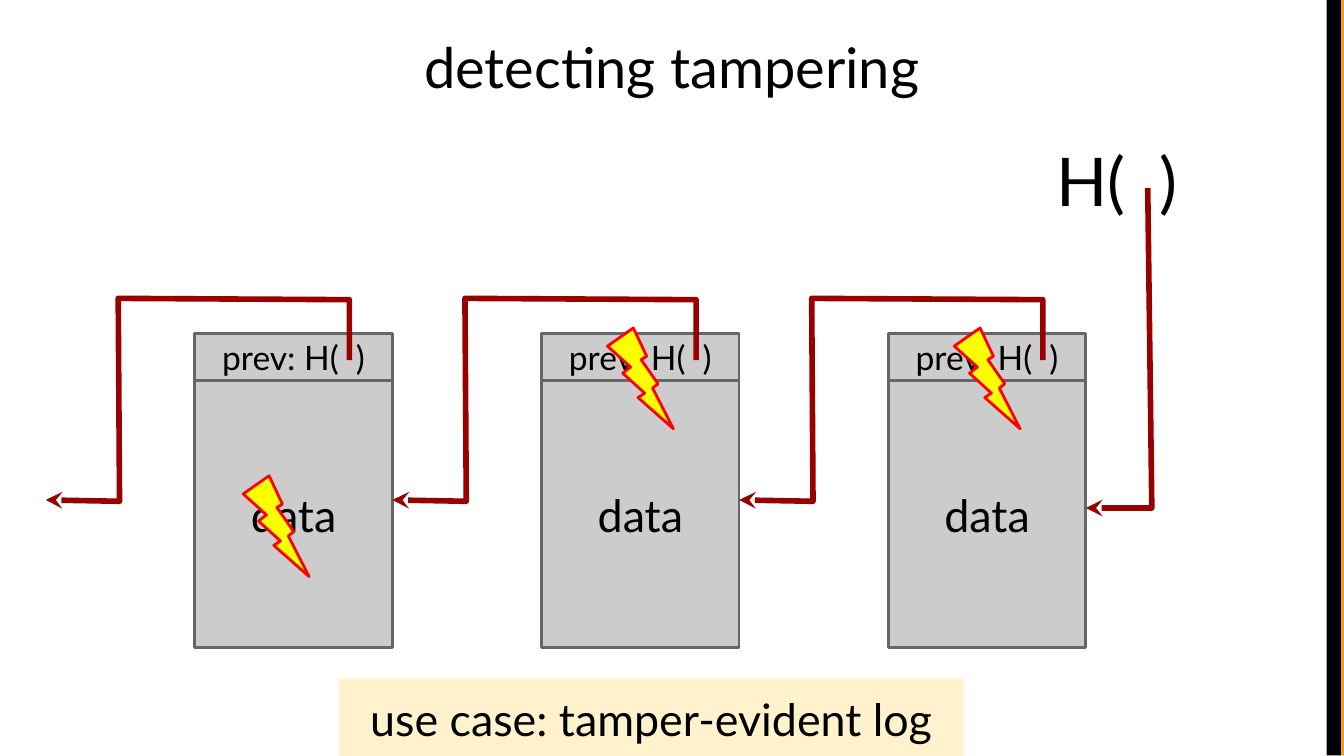
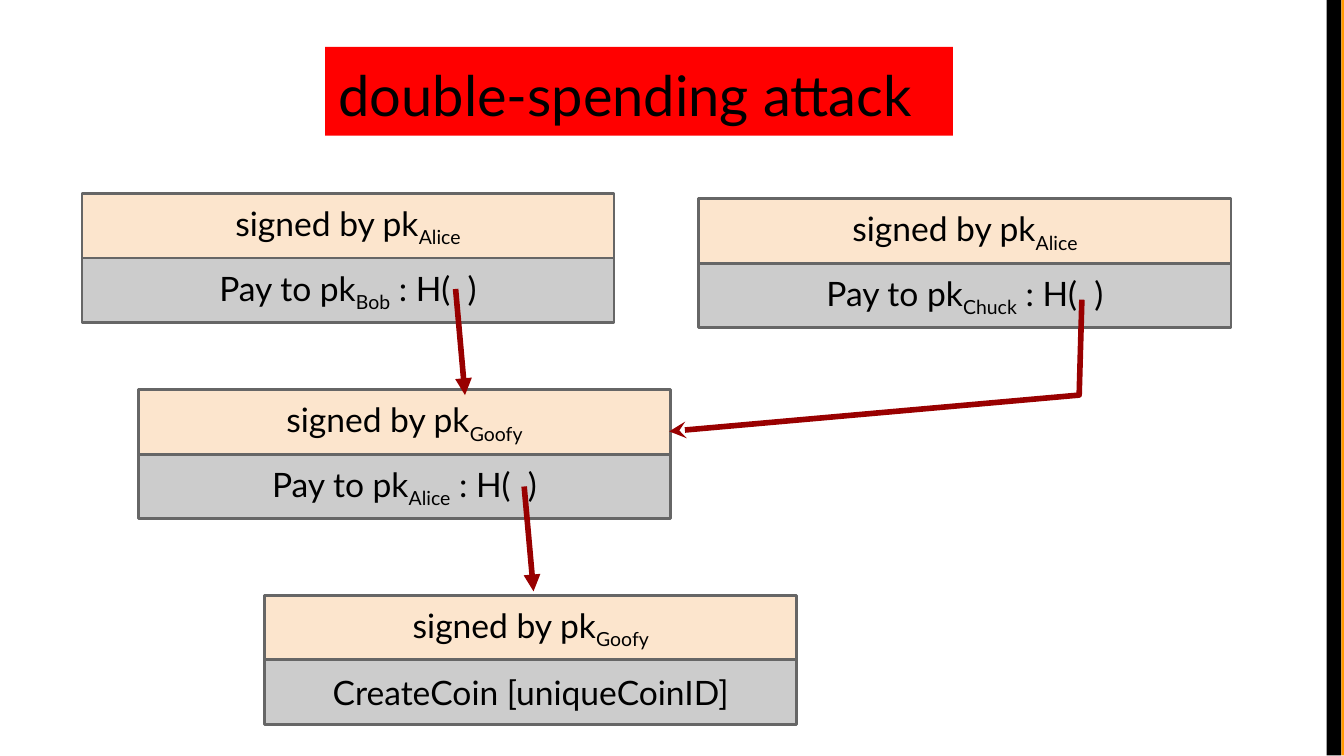
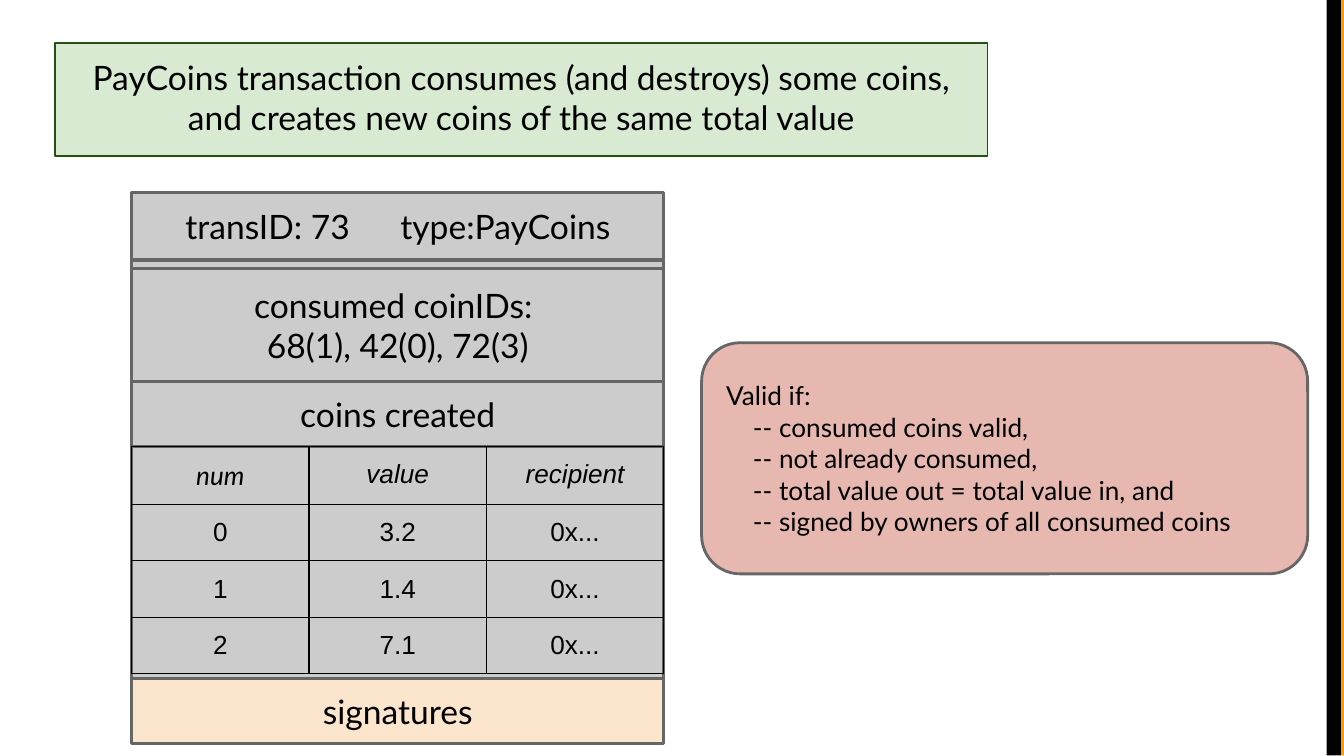
from lxml.etree import SubElement
from pptx import Presentation
from pptx.dml.color import RGBColor
from pptx.enum.shapes import MSO_CONNECTOR, MSO_SHAPE
from pptx.enum.text import MSO_ANCHOR, PP_ALIGN
from pptx.oxml import parse_xml
from pptx.oxml.ns import nsdecls, qn
from pptx.util import Emu, Pt

PX = 9144  # EMU per px, 100 px to the inch
PAGE_WIDTH, BAND_HEIGHT = 1000, 562
PADDING = 10

BLACK, GREY, EDGE, RED = "000000", "CCCCCC", "666666", "FF0000"
PEACH, MAROON = "FCE5CD", "990000"
FONT = "Lato"
CENTER, LEFT = PP_ALIGN.CENTER, PP_ALIGN.LEFT
TOP, MIDDLE = MSO_ANCHOR.TOP, MSO_ANCHOR.MIDDLE
RECT = MSO_SHAPE.RECTANGLE


def px(length):
    return Emu(length * PX)


def color(code):
    return RGBColor.from_string(code)


def moved(point, origin):
    return point[0] + origin[0], point[1] + origin[1]


def write(frame, lines, size, align=CENTER, font=FONT, italic=False):
    """Fill a text frame; a line is a string or alternating normal and subscript runs."""
    for number, line in enumerate(lines):
        para = frame.add_paragraph() if number else frame.paragraphs[0]
        para.alignment = align
        runs = (line,) if isinstance(line, str) else line
        for position, text in enumerate(runs):
            span = para.add_run()
            span.text = text
            span.font.name, span.font.size = font, Pt(size)
            span.font.color.rgb = color(BLACK)
            if italic:
                span.font.italic = True
            if position % 2:
                span._r.get_or_add_rPr().set("baseline", "-25000")


def set_frame(frame, anchor):
    frame.word_wrap = True
    frame.vertical_anchor = anchor
    frame.margin_left = frame.margin_right = px(PADDING)
    frame.margin_top = frame.margin_bottom = px(PADDING)


def add_box(shapes, box, fill, line=None, lines=(), size=18, align=CENTER,
            anchor=MIDDLE, kind=RECT, weight=1.5):
    shape = shapes.add_shape(kind, *map(px, box))
    shape.shadow.inherit = False
    shape.fill.solid()
    shape.fill.fore_color.rgb = color(fill)
    if line:
        shape.line.color.rgb = color(line)
        shape.line.width = Pt(weight)
    else:
        shape.line.fill.background()
    set_frame(shape.text_frame, anchor)
    write(shape.text_frame, lines, size, align)
    return shape


def add_text(page, box, text, size, align=CENTER):
    frame = page.shapes.add_textbox(*map(px, box)).text_frame
    set_frame(frame, TOP)
    write(frame, [text], size, align)
    return frame


def style_arrow(shape, line, head):
    shape.line.color.rgb = color(line)
    shape.line.width = Pt(3)
    SubElement(shape.element.spPr.find(qn("a:ln")), qn("a:tailEnd"), type=head)


def add_bent_arrow(page, origin, points):
    start, *rest = [moved(point, origin) for point in points]
    builder = page.shapes.build_freeform(*start, scale=PX)
    builder.add_line_segments(rest, close=False)
    shape = builder.convert_to_shape()
    shape.shadow.inherit = False
    shape.fill.background()
    style_arrow(shape, MAROON, "stealth")


def add_straight_arrow(page, origin, start, end):
    ends = map(px, moved(start, origin) + moved(end, origin))
    arrow = page.shapes.add_connector(MSO_CONNECTOR.STRAIGHT, *ends)
    style_arrow(arrow, "980000", "triangle")
    SubElement(arrow.element.spPr, qn("a:effectLst"))


def add_side_bands(deck, page):
    """Draw the bands at the right edge and move them to the master, for all pages."""
    tree = deck.slide_master.element.cSld.spTree
    for number, (left, fill) in enumerate([(998, "FF9900"), (987, BLACK)]):
        band = add_box(page.shapes, (left, 0, 11, BAND_HEIGHT), fill)
        band.element.nvSpPr.cNvPr.id = 100 + number
        tree.append(band.element)


# Tampering page

def add_block(page, box):
    left, top, width, height = box
    header = 35
    shapes = page.shapes.add_group_shape().shapes
    add_box(shapes, (left, top + header, width, height - header), GREY, EDGE, ["data"], 24)
    add_box(shapes, (left, top, width, header), GREY, EDGE, ["prev: H(  )"])


def add_bolt(page, origin, offset):
    add_box(page.shapes, (*moved(offset, origin), 49, 75), "FFFF00", RED,
            kind=MSO_SHAPE.LIGHTNING_BOLT)


def build_tampering(page):
    title = add_text(page, (50, 14, 900, 75), "detecting tampering", 30)
    title.paragraphs[0].space_before = Pt(6)

    origins = [(145 + 258 * number, 248) for number in range(3)]
    for origin in origins:
        add_block(page, (*origin, 147, 234))
    for origin in origins:
        add_bent_arrow(page, origin,
                       [(115, 20), (115, -25), (-57, -26), (-56, 125), (-111, 124)])
    add_text(page, (776, 94, 155, 50), "H(  )", 36, LEFT)
    add_bent_arrow(page, origins[-1], [(193, -108), (196, 130), (147, 130)])

    use_case = add_box(page.shapes, (252, 505, 465, 62), "FFF2CC",
                       lines=["use case: tamper-evident log"], size=24, anchor=TOP)
    use_case.text_frame.paragraphs[0].space_before = Pt(6)
    for origin, offset in zip(origins, [(36, 106), (49, -4), (49, -4)]):
        add_bolt(page, origin, offset)


# Double-spending page

def add_transaction(page, origin, signer, action):
    left, top = origin
    width, height = 396, 48
    add_box(page.shapes, (left, top + height, width, height), GREY, EDGE, [action])
    add_box(page.shapes, (left, top, width, height), PEACH, EDGE,
            [("signed by pk", signer)])


def pay_to(name):
    return "Pay to pk", name, " : H(  )"


def build_double_spending(page):
    to_bob, to_chuck, to_alice, creation = (61, 144), (520, 148), (103, 290), (197, 443)
    add_transaction(page, creation, "Goofy", "CreateCoin [uniqueCoinID]")
    add_transaction(page, to_alice, "Goofy", pay_to("Alice"))
    add_transaction(page, to_bob, "Alice", pay_to("Bob"))
    add_transaction(page, to_chuck, "Alice", pay_to("Chuck"))
    add_straight_arrow(page, to_alice, (287, 72), (294, 150))
    add_straight_arrow(page, to_bob, (278, 71), (285, 150))
    add_bent_arrow(page, to_chuck, [(285, 75), (283, 146), (-22, 173)])
    add_box(page.shapes, (242, 35, 467, 66), RED, lines=["double-spending attack"],
            size=30, align=LEFT, anchor=TOP)


# PayCoins page

def set_borders(cell):
    properties = cell._tc.get_or_add_tcPr()
    for position, side in enumerate(("lnL", "lnR", "lnT", "lnB")):
        properties.insert(position, parse_xml(
            f'<a:{side} {nsdecls("a")} w="{Pt(0.75)}"><a:solidFill>'
            f'<a:srgbClr val="{BLACK}"/></a:solidFill></a:{side}>'))


def add_coin_table(page, left, top):
    rows = [("num", "value", "recipient"), ("0", "3.2", "0x..."),
            ("1", "1.4", "0x..."), ("2", "7.1", "0x...")]
    column_width, row_height = 132, 39
    table = page.shapes.add_table(
        len(rows), 3, px(left), px(top),
        px(column_width * 3), px(row_height * len(rows))).table
    table.first_row = table.horz_banding = False
    for row, texts in enumerate(rows):
        for column, text in enumerate(texts):
            cell = table.cell(row, column)
            cell.fill.background()
            set_borders(cell)
            cell.margin_left = cell.margin_right = px(PADDING)
            cell.margin_top = cell.margin_bottom = px(PADDING)
            write(cell.text_frame, [text], 14, font=FONT if text == "num" else "Arial",
                  italic=row == 0)


def add_record(page, left, top, width):
    """Draw the transaction record as a stack of bars around the coin table."""
    def bar(offset, height, lines=(), fill=GREY, shapes=page.shapes):
        return add_box(shapes, (left, top + offset, width, height), fill, EDGE, lines)

    backing = page.shapes.add_group_shape().shapes
    bar(51, 311, shapes=backing)
    heading = bar(0, 50, ["transID: 73\ttype:PayCoins"], shapes=backing).text_frame
    heading.margin_left = px(40)
    para = heading.paragraphs[0]
    para.alignment = LEFT
    stops = SubElement(para._p.get_or_add_pPr(), qn("a:tabLst"))
    SubElement(stops, qn("a:tab"), pos=str(px(160)), algn="l")

    bar(141, 48, ["coins created"])
    add_coin_table(page, left, top + 189)
    bar(57, 84, ["consumed coinIDs: ", "68(1), 42(0), 72(3)"])
    bar(362, 48, ["signatures"], PEACH)


def add_rules(page, box):
    rules = ["Valid if:", "-- consumed coins valid,", "-- not already consumed,",
             "-- total value out = total value in, and",
             "-- signed by owners of all consumed coins"]
    shape = add_box(page.shapes, box, "E6B8AF", EDGE, rules, 14, LEFT,
                    kind=MSO_SHAPE.ROUNDED_RECTANGLE)
    for para in shape.text_frame.paragraphs[1:]:
        para._p.get_or_add_pPr().set("marL", str(px(20)))


def build_pay_coins(page):
    add_box(page.shapes, (41, 32, 694, 84), "D9EAD3", "274E13",
            ["PayCoins transaction consumes (and destroys) some coins,",
             "and creates new coins of the same total value"], anchor=TOP, weight=0.75)
    add_record(page, 98, 143, 396)
    add_rules(page, (522, 255, 451, 172))


def main():
    deck = Presentation()
    deck.slide_width = px(PAGE_WIDTH)
    deck.slide_height = Emu(deck.slide_width * 9 // 16)
    blank = deck.slide_layouts[6]
    builders = (build_tampering, build_double_spending, build_pay_coins)
    pages = [deck.slides.add_slide(blank) for _ in builders]
    add_side_bands(deck, pages[0])
    for build, page in zip(builders, pages):
        build(page)
    deck.save("out.pptx")


if __name__ == "__main__":
    main()
